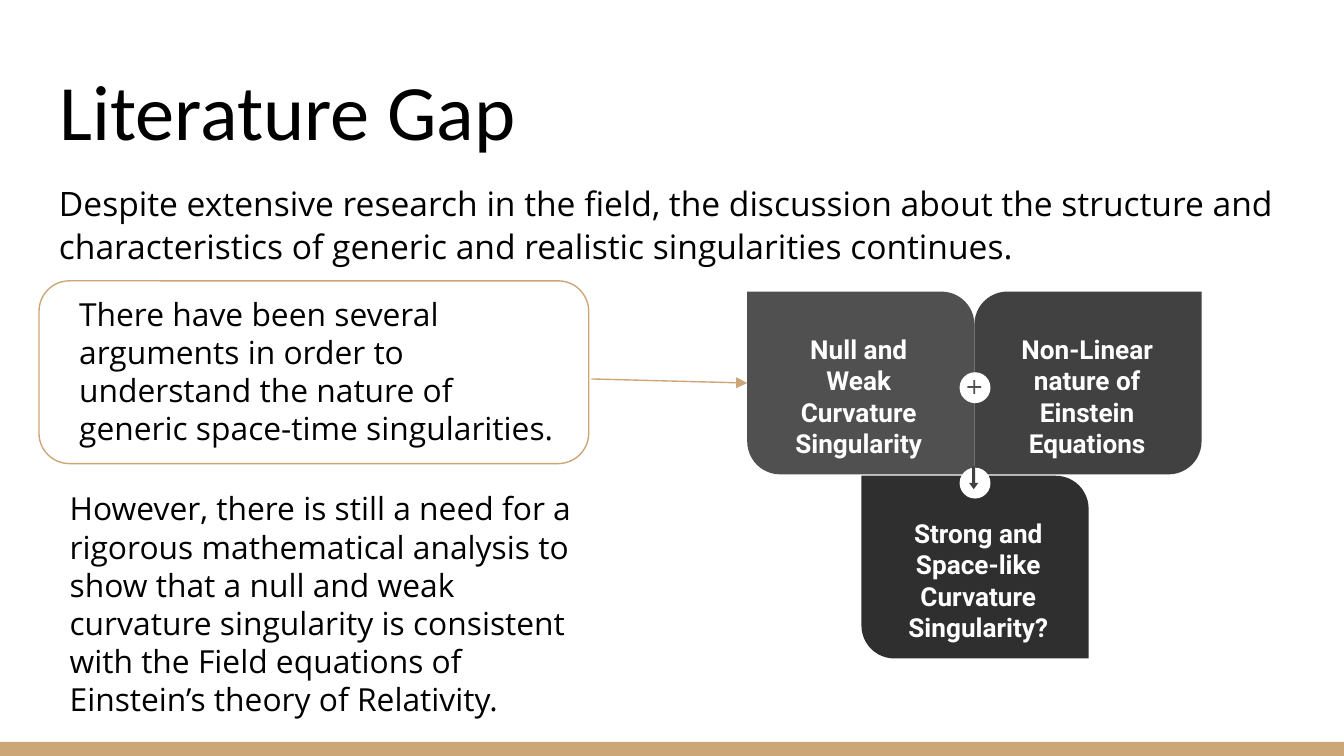
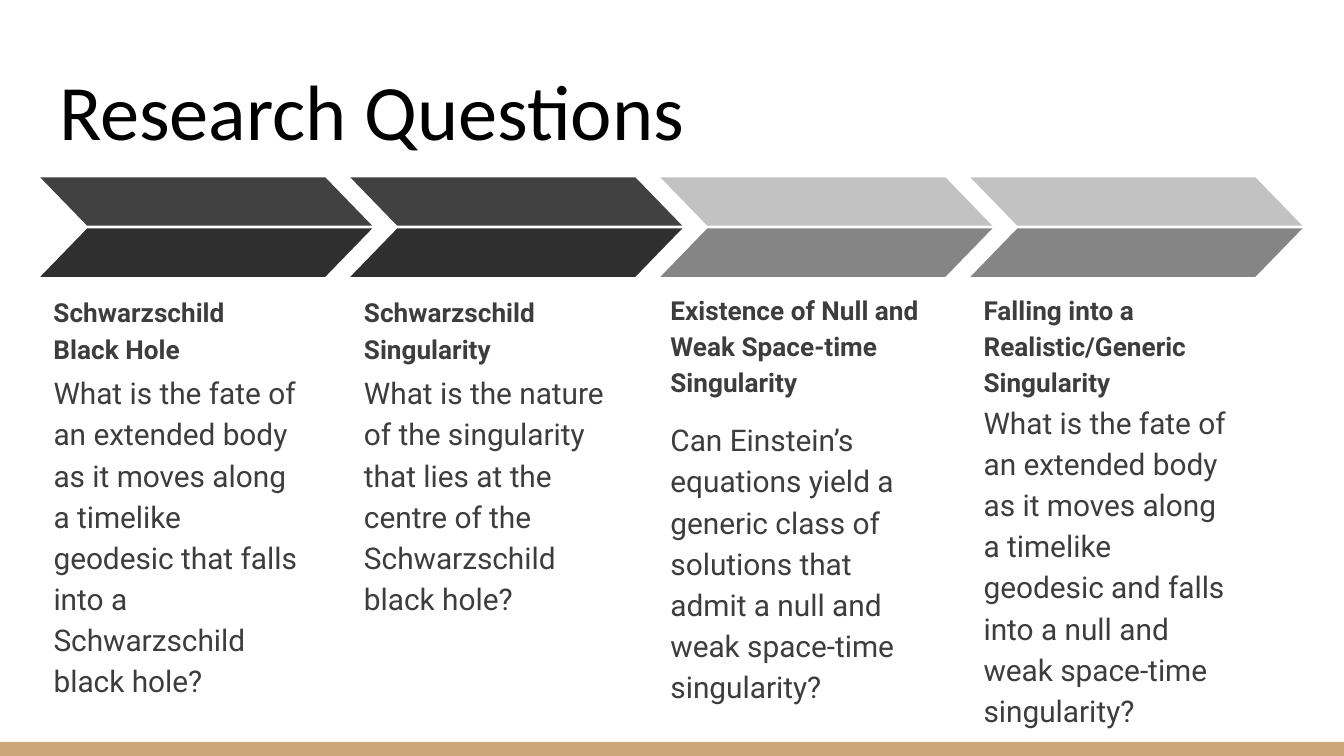
from pptx import Presentation
from pptx.dml.color import RGBColor
from pptx.enum.shapes import MSO_CONNECTOR, MSO_SHAPE
from pptx.enum.text import MSO_ANCHOR, MSO_AUTO_SIZE, PP_ALIGN
from pptx.oxml.ns import qn
from pptx.util import Inches, Pt
from lxml.etree import SubElement

BLACK = RGBColor(0x00, 0x00, 0x00)
WHITE = RGBColor(0xFF, 0xFF, 0xFF)
GOLD = RGBColor(0xCC, 0xA6, 0x77)
INK = RGBColor(0x3D, 0x3D, 0x3D)
COAL = RGBColor(0x2F, 0x2F, 0x2F)
CHARCOAL = RGBColor(0x41, 0x41, 0x41)
SLATE = RGBColor(0x50, 0x50, 0x50)
GREY = RGBColor(0x85, 0x85, 0x85)
SILVER = RGBColor(0xC2, 0xC2, 0xC2)

COLS, ROWS = 100, 56.25
TITLE_ONLY = 5
CORNER = 0.18


class Deck:
    """Holds the style and the current slide; lengths are grid columns and rows."""

    def __init__(self):
        self.prs = Presentation()
        self.prs.slide_width = Inches(10)
        self.prs.slide_height = Inches(5.625)
        self.slide = None

    def x(self, cols):
        return round(self.prs.slide_width * cols / COLS)

    def y(self, rows):
        return round(self.prs.slide_height * rows / ROWS)

    def box(self, x, y, w, h):
        return self.x(x), self.y(y), self.x(w), self.y(h)

    def new_slide(self, title):
        self.slide = self.prs.slides.add_slide(self.prs.slide_layouts[TITLE_ONLY])
        sp = self.slide.shapes.title
        sp.left, sp.top, sp.width, sp.height = self.box(3.4, 3.5, 93.2, 9.1)
        self.set_text(sp.text_frame, title, 42, "Calibri", BLACK, anchor=MSO_ANCHOR.BOTTOM)
        self.shape(MSO_SHAPE.RECTANGLE, 0, 55.2, COLS, ROWS - 55.2, fill=GOLD)

    def set_text(self, tf, text, size, font, color, bold=False, align=PP_ALIGN.LEFT,
                 anchor=MSO_ANCHOR.TOP, spacing=None, after=None):
        tf.text = text
        tf.word_wrap = True
        tf.auto_size = MSO_AUTO_SIZE.NONE
        tf.vertical_anchor = anchor
        tf.margin_left = tf.margin_right = tf.margin_top = tf.margin_bottom = Inches(0.1)
        for p in tf.paragraphs:
            p.alignment = align
            if spacing:
                p.line_spacing = spacing
            if after:
                p.space_after = Pt(after)
            for r in p.runs:
                r.font.size, r.font.name, r.font.bold = Pt(size), font, bold
                r.font.color.rgb = color

    def text(self, x, y, w, h, text, size, font="Open Sans", color=BLACK, **style):
        sp = self.slide.shapes.add_textbox(*self.box(x, y, w, h))
        self.set_text(sp.text_frame, text, size, font, color, **style)

    def shape(self, kind, x, y, w, h, fill=None, line=None, adj=(), flip=False, turn=0):
        sp = self.slide.shapes.add_shape(kind, *self.box(x, y, w, h))
        sp.shadow.inherit = False
        sp.rotation = turn
        for i, value in enumerate(adj):
            sp.adjustments[i] = value
        if flip:
            sp._element.spPr.get_or_add_xfrm().set("flipH", "1")
        if fill is None:
            sp.fill.background()
        else:
            sp.fill.solid()
            sp.fill.fore_color.rgb = fill
        if line is None:
            sp.line.fill.background()
        else:
            sp.line.color.rgb = line
            sp.line.width = Pt(0.75)

    def arrow(self, x1, y1, x2, y2):
        cn = self.slide.shapes.add_connector(
            MSO_CONNECTOR.STRAIGHT, self.x(x1), self.y(y1), self.x(x2), self.y(y2))
        cn.line.color.rgb = GOLD
        cn.line.width = Pt(0.75)
        SubElement(cn.line._get_or_add_ln(), qn("a:tailEnd"), type="triangle")
        SubElement(cn._element.spPr, qn("a:effectLst"))

    def tile(self, x, y, fill, adj, label, inset, label_width):
        self.shape(MSO_SHAPE.ROUND_2_DIAG_RECTANGLE, x, y, 16.9, 13.6, fill=fill, adj=adj)
        self.text(x + inset, y + 2.1, label_width, 9.3, label, 14, "Roboto", WHITE,
                  bold=True, align=PP_ALIGN.CENTER)

    def badge(self, y):
        self.shape(MSO_SHAPE.OVAL, 71.4, y, 2.3, 2.3, fill=WHITE)

    def chevron(self, x, upper, lower):
        for y, fill, flip in ((13.2, upper, True), (17, lower, False)):
            self.shape(MSO_SHAPE.PARALLELOGRAM, x, y, 24.7, 3.6, fill=fill,
                       adj=(0.97,), flip=flip)


def literature_gap(deck):
    deck.new_slide("Literature Gap")
    deck.tile(72.5, 21.7, CHARCOAL, (CORNER, 0),
              "Non-Linear nature of Einstein Equations", 2.1, 12.6)
    deck.tile(55.6, 21.7, SLATE, (0, CORNER),
              "Null and Weak\nCurvature\nSingularity", 2, 12.6)
    deck.tile(64.1, 35.4, COAL, (0, CORNER),
              "Strong and\nSpace-like\nCurvature\nSingularity?", 1.9, 13.6)
    deck.badge(34.8)
    deck.shape(MSO_SHAPE.RIGHT_ARROW, 71.6, 35.2, 1.7, 0.7, fill=CHARCOAL,
               adj=(0.32, 0.67), turn=90)
    deck.badge(27.7)
    deck.shape(MSO_SHAPE.MATH_PLUS, 71.8, 28.1, 1.4, 1.4, fill=SLATE, adj=(0.1,))

    deck.text(3.4, 12.5, 92.5, 8.3,
              "Despite extensive research in the field, the discussion about the structure "
              "and characteristics of generic and realistic singularities continues.",
              18, spacing=1.05, after=12)
    deck.text(4.2, 35.4, 41.3, 19.2,
              "However, there is still a need for a rigorous mathematical analysis to show "
              "that a null and weak curvature singularity is consistent with the Field "
              "equations of Einstein’s theory of Relativity.", 17)
    deck.shape(MSO_SHAPE.ROUNDED_RECTANGLE, 2.9, 20.9, 40.9, 13.6, line=GOLD)
    deck.arrow(44, 28.2, 55.6, 28.5)
    deck.text(4.9, 20.9, 38.1, 11.4,
              "There have been several arguments in order to understand the nature of "
              "generic space-time singularities.", 17)


def research_questions(deck):
    deck.new_slide("Research Questions")
    dark, light = (CHARCOAL, COAL), (SILVER, GREY)
    # shades, text column, heading (top, width, height), question (top, height), wording
    questions = (
        (dark, 3, (22.9, 23, 5.2), (26.5, 26.3), "Schwarzschild\nBlack Hole",
         "What is the fate of an extended body as it moves along a timelike geodesic "
         "that falls into a Schwarzschild black hole?"),
        (dark, 26.1, (22.9, 23, 5.2), (26.5, 26.3), "Schwarzschild\nSingularity",
         "What is the nature of the singularity that lies at the centre of the "
         "Schwarzschild black hole?"),
        (light, 48.9, (20.5, 25.3, 10.1), (30, 22.4),
         "Existence of Null and Weak Space-time Singularity",
         "Can Einstein’s equations yield a generic class of solutions that admit a null "
         "and weak space-time singularity?"),
        (light, 72.2, (24.6, 23, 6), (28.7, 25.3),
         "Falling into a Realistic/Generic Singularity",
         "What is the fate of an extended body as it moves along a timelike geodesic "
         "and falls into a null and weak space-time singularity?"),
    )
    for i, (shades, x, (top, w, h), (q_top, q_h), heading, question) in enumerate(questions):
        deck.chevron(3 + 23.07 * i, *shades)
        deck.text(x, top, w, h, heading, 14, "Roboto", INK, bold=True,
                  anchor=MSO_ANCHOR.BOTTOM, spacing=1.15)
        deck.text(x, q_top, 20.8, q_h, question, 16, "Roboto", INK,
                  spacing=1.15, after=16)


def main():
    deck = Deck()
    literature_gap(deck)
    research_questions(deck)
    deck.prs.save("out.pptx")


if __name__ == "__main__":
    main()
